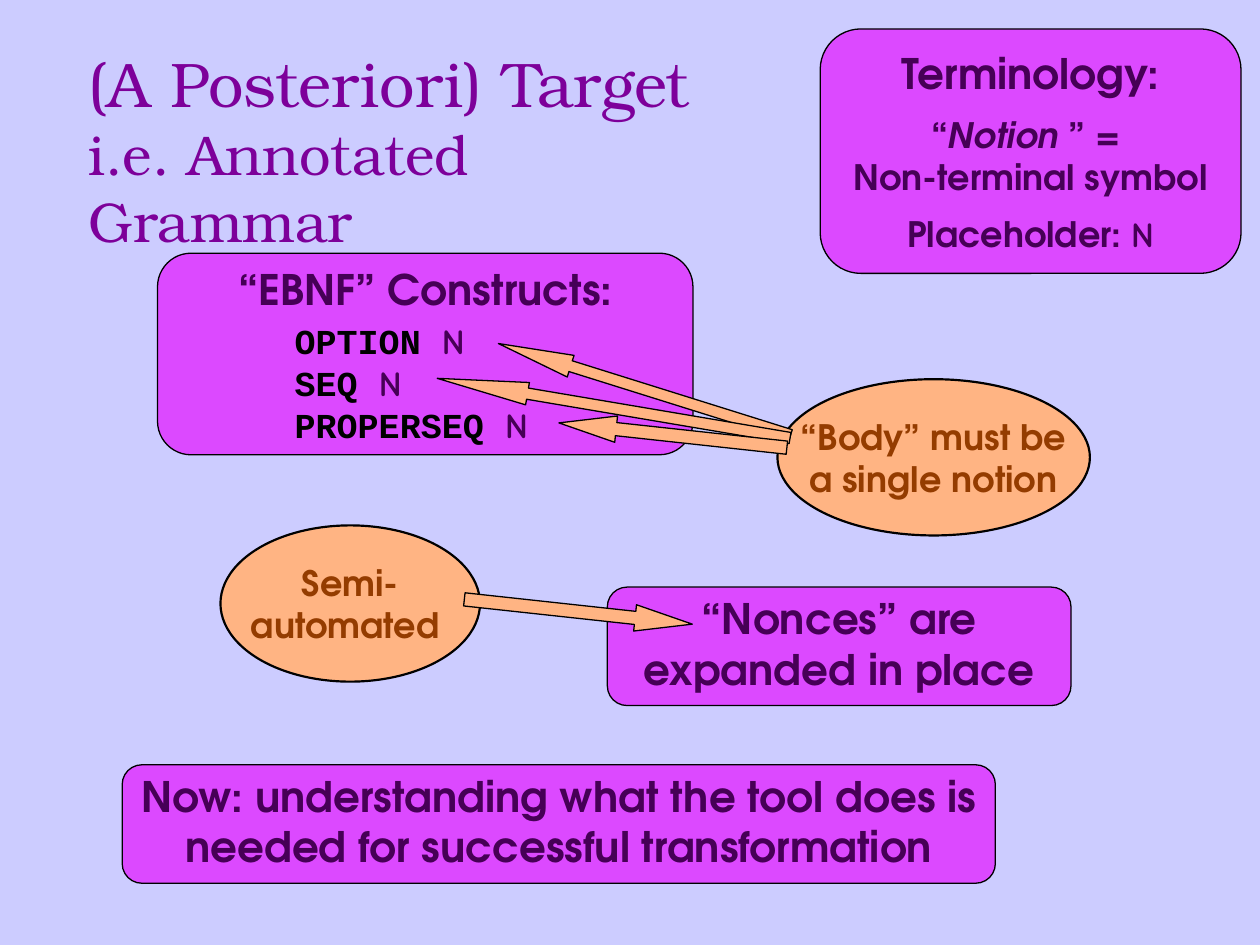
from pptx import Presentation
from pptx.dml.color import RGBColor
from pptx.enum.shapes import MSO_SHAPE as Kind
from pptx.enum.text import MSO_ANCHOR as Anchor, MSO_AUTO_SIZE as Fit, PP_ALIGN as Align
from pptx.util import Inches, Pt

COLS, ROWS = 100, 75
SANS, SERIF = "TeX Gyre Adventor", "TeX Gyre Bonum"
MONO, HAND = "Courier New", "Comic Neue"
BACK, PINK, PEACH = "CCCCFF", "DC49FF", "FFB483"
PLUM, BROWN, PURPLE, BLACK = "460056", "943C00", "7D009A", "000000"


def shade(code):
    return RGBColor.from_string(code)


class Board:
    def __init__(self, deck):
        self.col = deck.slide_width / COLS
        self.row = deck.slide_height / ROWS
        self.slide = deck.slides.add_slide(deck.slide_layouts[5])
        fill = self.slide.background.fill
        fill.solid()
        fill.fore_color.rgb = shade(BACK)

    def area(self, x, y, w, h):
        return (round(x * self.col), round(y * self.row),
                round(w * self.col), round(h * self.row))

    def label(self, shape, paras, size, color, font=SANS, bold=True,
              align=Align.CENTER, anchor=Anchor.MIDDLE, wrap=False, top=0.05):
        frame = shape.text_frame
        frame.auto_size = Fit.NONE
        frame.word_wrap = wrap
        frame.vertical_anchor = anchor
        frame.margin_left = frame.margin_right = Inches(0.1)
        frame.margin_top, frame.margin_bottom = Inches(top), Inches(0.05)
        for spot, parts in enumerate(paras):
            para = frame.add_paragraph() if spot else frame.paragraphs[0]
            para.alignment = align
            for text, style in [(parts, {})] if isinstance(parts, str) else parts:
                run = para.add_run()
                run.text = text
                run.font.name = style.get("font", font)
                run.font.size = Pt(style.get("size", size))
                run.font.bold = bold
                run.font.italic = style.get("slant", False)
                run.font.color.rgb = shade(style.get("color", color))
        return frame.paragraphs

    def title(self, area, lines):
        head = self.slide.shapes.title
        head.left, head.top, head.width, head.height = self.area(*area)
        self.label(head, lines, 36, PURPLE, SERIF, False,
                   Align.LEFT, Anchor.TOP, True)

    def shape(self, kind, area, fill, width=0.75):
        item = self.slide.shapes.add_shape(kind, *self.area(*area))
        item.shadow.inherit = False
        item.fill.solid()
        item.fill.fore_color.rgb = shade(fill)
        item.line.color.rgb = shade(BLACK)
        item.line.width = Pt(width)
        return item

    def panel(self, area, paras, **style):
        item = self.shape(Kind.FLOWCHART_ALTERNATE_PROCESS, area, PINK)
        return self.label(item, paras, 24, PLUM, **style)

    def bubble(self, area, paras):
        item = self.shape(Kind.OVAL, area, PEACH, 1.25)
        self.label(item, paras, 20, BROWN)

    def arrow(self, area, turn, tip):
        item = self.shape(Kind.LEFT_ARROW, area, PEACH)
        item.adjustments[0], item.adjustments[1] = 0.5, tip
        item.rotation = turn

    def code(self, area, words):
        box = self.slide.shapes.add_textbox(*self.area(*area))
        paras = [[(word + " ", {}), ("N", {"font": HAND, "color": PLUM})]
                 for word in words]
        self.label(box, paras, 20, BLACK, MONO, align=Align.LEFT,
                   anchor=Anchor.TOP)


def main():
    deck = Presentation()
    deck.slide_width, deck.slide_height = Inches(10), Inches(7.5)
    board = Board(deck)
    board.title((6, 3, 51, 17), [
        "(A Posteriori) Target",
        [("i.e. Annotated Grammar", {"size": 32})]])

    board.panel((48.2, 46.6, 36.8, 9.4),
                ["“Nonces” are", "expanded in place"], top=0)
    board.panel((12.5, 20.1, 42.5, 16), ["“EBNF” Constructs:"],
                anchor=Anchor.TOP, top=0)
    board.code((22.4, 24.9, 20.9, 11), ["OPTION", "SEQ", "PROPERSEQ"])

    small = {"size": 20}
    terms = board.panel((65.1, 2.3, 33.4, 19.4), [
        "Terminology:",
        [("“", small), ("Notion ", {**small, "slant": True}), ("” = ", small)],
        [("Non-terminal symbol", small)],
        [("Placeholder: ", small), ("N", {**small, "font": HAND})]])
    terms[1].space_before, terms[3].space_before = Pt(9), Pt(8.5)

    board.bubble((61.7, 30.1, 24.8, 12.4), ["“Body” must be", "a single notion"])
    board.arrow((39, 30, 24.3, 1.8), 17.4, 3.34)
    board.arrow((34.5, 31.5, 28.4, 1.8), 9.6, 4.04)
    board.arrow((44.3, 33.5, 18.2, 2.1), 6.2, 2.18)
    board.bubble((17.5, 41.7, 20.6, 12.4), ["Semi-", "automated "])
    board.arrow((36.8, 47.5, 18.2, 2.1), 186.2, 2.18)
    board.panel((9.7, 60.7, 69.3, 9.4), [
        "Now: understanding what the tool does is "
        "needed for successful transformation"], wrap=True, top=0)
    deck.save("out.pptx")


if __name__ == "__main__":
    main()
